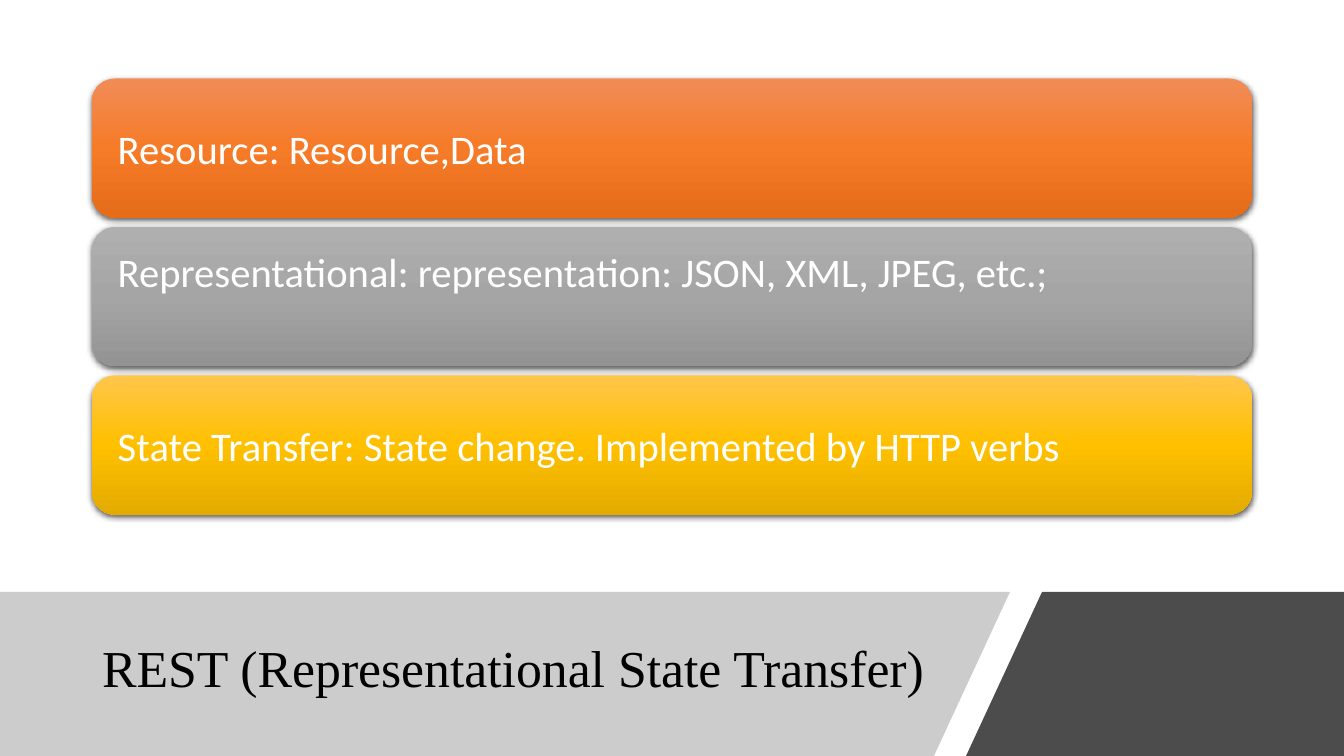
from copy import deepcopy
from dataclasses import dataclass

from lxml.etree import SubElement
from pptx import Presentation
from pptx.dml.color import RGBColor
from pptx.enum.shapes import MSO_SHAPE as Shape
from pptx.enum.text import MSO_ANCHOR as Anchor, MSO_AUTO_SIZE as AutoSize, PP_ALIGN as Align
from pptx.oxml.ns import qn
from pptx.util import Emu, Pt

SCALE = 914400 / 100.8
WIDTH, HEIGHT = 1344, 756
COLORS = {
    "white": "FFFFFF", "black": "000000", "band": "808080",
    "orange_top": "F18C57", "orange": "F67B28", "orange_low": "E56C19",
    "gray_top": "AFAFAF", "gray": "A5A5A5", "gray_low": "939393",
    "gold_top": "FFC64B", "gold": "FFC000", "gold_low": "E3AB00",
}


@dataclass
class Term:
    text: str
    hue: str
    space_below: int = 0


@dataclass
class Band:
    corners: list[tuple[int, int]]
    color: str
    opacity: int


def px(length: float) -> Emu:
    return Emu(round(length * SCALE))


def rgb(name: str) -> RGBColor:
    return RGBColor.from_string(COLORS[name])


def draw_band(slide, band: Band) -> None:
    builder = slide.shapes.build_freeform(*band.corners[0], scale=SCALE)
    builder.add_line_segments(band.corners[1:], close=True)
    shape = builder.convert_to_shape()
    shape.shadow.inherit = False
    shape.line.fill.background()
    shape.fill.solid()
    shape.fill.fore_color.rgb = rgb(band.color)
    tint = shape._element.spPr.find(qn("a:solidFill"))[0]
    SubElement(tint, qn("a:alpha"), val=str(band.opacity * 1000))


def fill_gradient(shape, hue: str) -> None:
    shape.fill.gradient()
    shape.fill.gradient_angle = 270
    stop_list = shape._element.spPr.find(qn("a:gradFill")).find(qn("a:gsLst"))
    stop_list.append(deepcopy(stop_list[-1]))
    names = (f"{hue}_top", hue, f"{hue}_low")
    for stop, position, name in zip(shape.fill.gradient_stops, (0, 0.5, 1), names):
        stop.position = position
        stop.color.rgb = rgb(name)


def add_shadow(shape) -> None:
    shape.shadow.inherit = False
    effects = shape._element.spPr.find(qn("a:effectLst"))
    shadow = SubElement(effects, qn("a:outerShdw"), blurRad=str(Pt(4.5)),
                        dist=str(Pt(1.5)), dir="5400000", algn="ctr", rotWithShape="0")
    tint = SubElement(shadow, qn("a:srgbClr"), val=COLORS["black"])
    SubElement(tint, qn("a:alpha"), val="63000")


def draw_term(slide, term: Term, top: int) -> None:
    bar = slide.shapes.add_shape(Shape.ROUNDED_RECTANGLE, px(92), px(top),
                                 px(1160), px(BAR_HEIGHT))
    bar.line.fill.background()
    fill_gradient(bar, term.hue)
    add_shadow(bar)
    frame = bar.text_frame
    frame.word_wrap = True
    frame.vertical_anchor = Anchor.MIDDLE
    frame.margin_left = frame.margin_right = px(19)
    frame.margin_top, frame.margin_bottom = px(12), px(12 + term.space_below)
    line = frame.paragraphs[0]
    line.text = term.text
    line.alignment = Align.LEFT
    line.font.name, line.font.size = "Calibri", Pt(29)
    line.font.color.rgb = rgb("white")


BAR_HEIGHT, BAR_GAP, FIRST_TOP = 139, 9.5, 78.5
BAND_TOP = 592
TERMS = [
    Term("Resource: Resource,Data", "orange"),
    Term("Representational: representation: JSON, XML, JPEG, etc.;", "gray", space_below=50),
    Term("State Transfer: State change. Implemented by HTTP verbs", "gold"),
]
BANDS = [
    Band([(0, BAND_TOP), (1010, BAND_TOP), (934, HEIGHT), (0, HEIGHT)], "band", 40),
    Band([(1042, BAND_TOP), (WIDTH, BAND_TOP), (WIDTH, HEIGHT), (966, HEIGHT)], "black", 70),
]

deck = Presentation()
deck.slide_width, deck.slide_height = px(WIDTH), px(HEIGHT)
slide = deck.slides.add_slide(deck.slide_layouts[5])
title = slide.shapes.title

# Bottom bands, with the title brought in front of them
for band in BANDS:
    draw_band(slide, band)
slide.shapes._spTree.append(title._element)

# Title
title.left, title.top, title.width, title.height = px(92), px(610), px(851), px(121)
title.text_frame.auto_size = AutoSize.NONE
title.text_frame.vertical_anchor = Anchor.MIDDLE
heading = title.text_frame.paragraphs[0]
heading.text = "REST (Representational State Transfer)"
heading.alignment = Align.LEFT
heading.line_spacing = 0.9
heading.font.name, heading.font.size = "Times New Roman", Pt(37)
heading.font.color.rgb = rgb("black")

# Definition bars
for row, term in enumerate(TERMS):
    draw_term(slide, term, FIRST_TOP + row * (BAR_HEIGHT + BAR_GAP))

deck.save("out.pptx")
